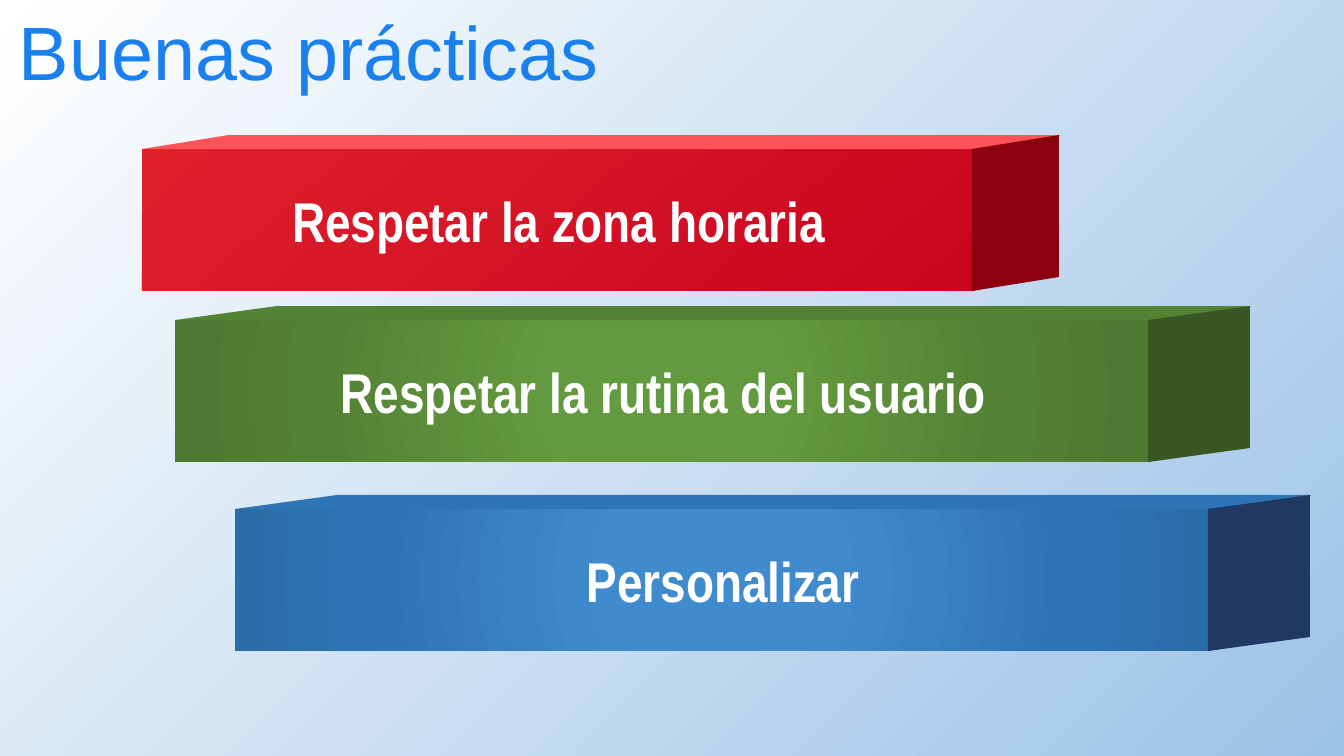
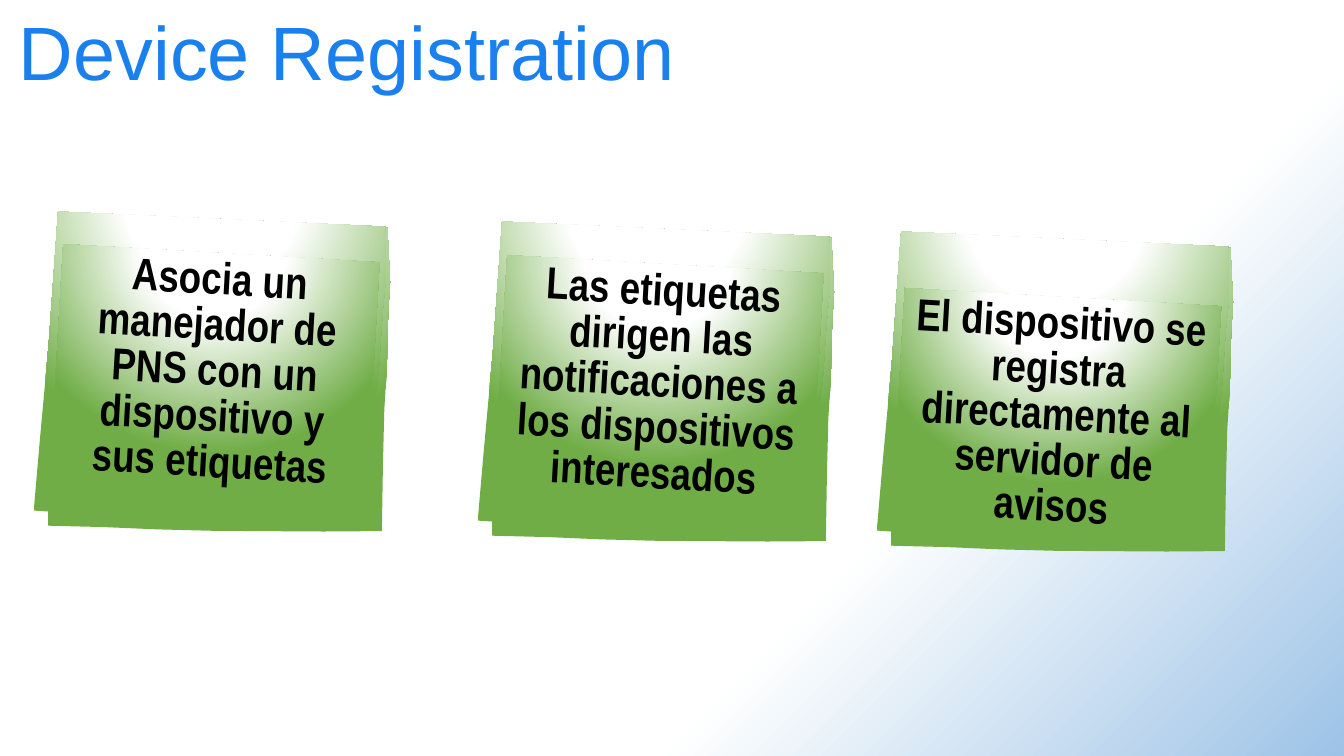
from dataclasses import dataclass

import lxml.etree
import pptx
import pptx.dml.color
import pptx.enum.shapes
import pptx.enum.text
import pptx.oxml.ns
import pptx.util

EMU_PER_PX = 914400 / 100.8
SLIDE_W, SLIDE_H = 1344, 756


@dataclass(frozen=True)
class Gradient:
    """Stops are (percent, colour); a gradient without an angle is circular around focus."""
    stops: tuple[tuple[int, str], ...]
    angle: int | None = None
    focus: tuple[int, int, int, int] = (50, 50, 50, 50)


@dataclass(frozen=True)
class Theme:
    title_font: str = "Arial"
    label_font: str = "Arial Narrow"
    title_size: int = 54
    bar_size: int = 40
    note_size: int = 32
    title: str = "1980EE"
    bar_text: str = "FFFFFF"
    note_text: str = "000000"
    bar_background: Gradient = Gradient(((0, "FFFFFF"), (100, "9DC3E6")), angle=45)
    note_background: Gradient = Gradient(((67, "FFFFFF"), (100, "9DC3E6")), angle=45)
    paper: Gradient = Gradient(
        ((0, "FFFFFF"), (35, "FFFFFF"), (100, "70AD47")), focus=(50, -80, 50, 180))
    red: Gradient = Gradient(((0, "DF202B"), (100, "CA051F")), angle=49)
    green: Gradient = Gradient(
        ((0, "649A3F"), (23, "649A3F"), (69, "548235"), (97, "4E7932")))
    blue: Gradient = Gradient(
        ((0, "408BCE"), (23, "408BCE"), (69, "2E75B6"), (97, "2B6DA9")))


THEME = Theme()


@dataclass(frozen=True)
class Bar:
    text: str
    left: int
    top: int
    width: int
    skew: int
    front: Gradient
    lid: str
    side: str


@dataclass(frozen=True)
class Note:
    text: str
    left: int
    top: int
    label_top: int
    label_height: int


BAR_HEIGHT = 142
LID_HEIGHT = 14
SIDE_OVERLAP = 3
BARS = (
    Bar("Respetar la zona horaria", 142, 149, 833, 87, THEME.red, "FC5258", "8C000F"),
    Bar("Respetar la rutina del usuario", 175, 320, 976, 102, THEME.green, "548235", "385723"),
    Bar("Personalizar", 235, 509, 976, 102, THEME.blue, "2E75B6", "203864"),
)

PAPER_OUTLINE = (
    (327, 0), (333, 54), (333, 85), (334, 113), (335, 141), (335, 181),
    (337, 236), (340, 303), (282, 307), (172, 313), (116, 315), (62, 316),
    (6, 318), (5, 250), (4, 148), (0, 18),
)
PAPERS = ((0, 3.5), (-8, 5.8))  # shift in px, rotation in degrees
LABEL_SHIFT, LABEL_WIDTH, LABEL_ROTATION = 5, 317, 3.3
NOTES = (
    Note("Asocia un manejador de PNS con un dispositivo y sus etiquetas", 51, 218, 253, 241),
    Note("Las etiquetas dirigen las notificaciones a los dispositivos interesados",
         495, 228, 264, 241),
    Note("El dispositivo se registra directamente al servidor de avisos", 894, 238, 297, 195),
)


def px(length: int) -> pptx.util.Emu:
    return pptx.util.Emu(round(length * EMU_PER_PX))


def rgb(colour: str) -> pptx.dml.color.RGBColor:
    return pptx.dml.color.RGBColor.from_string(colour)


def fill_gradient(owner, gradient: Gradient) -> None:
    """Fill a shape, or the background of a slide."""
    fill = owner.fill if hasattr(owner, "fill") else owner.background.fill
    fill.gradient()
    qn = pptx.oxml.ns.qn
    grad = next(owner.element.iter(qn("a:gradFill")))
    for child in list(grad):
        grad.remove(child)
    stops = lxml.etree.SubElement(grad, qn("a:gsLst"))
    for percent, colour in gradient.stops:
        stop = lxml.etree.SubElement(stops, qn("a:gs"), pos=str(percent * 1000))
        lxml.etree.SubElement(stop, qn("a:srgbClr"), val=colour)
    if gradient.angle is not None:
        lxml.etree.SubElement(grad, qn("a:lin"), ang=str(gradient.angle * 60000), scaled="0")
        return
    circle = lxml.etree.SubElement(grad, qn("a:path"), path="circle")
    edges = {edge: str(share * 1000) for edge, share in zip("ltrb", gradient.focus)}
    lxml.etree.SubElement(circle, qn("a:fillToRect"), **edges)


def paint(sp, fill: Gradient | str) -> None:
    """Apply a gradient or plain fill, without line or shadow."""
    sp.shadow.inherit = False
    sp.line.fill.background()
    if isinstance(fill, Gradient):
        fill_gradient(sp, fill)
    else:
        sp.fill.solid()
        sp.fill.fore_color.rgb = rgb(fill)


def add_polygon(slide, points, fill: Gradient | str):
    builder = slide.shapes.build_freeform(*points[0], scale=EMU_PER_PX)
    builder.add_line_segments(points[1:], close=True)
    sp = builder.convert_to_shape()
    paint(sp, fill)
    return sp


def add_rect(slide, left: int, top: int, width: int, height: int, fill: Gradient):
    sp = slide.shapes.add_shape(
        pptx.enum.shapes.MSO_SHAPE.RECTANGLE, px(left), px(top), px(width), px(height))
    paint(sp, fill)
    return sp


def write(sp, text: str, font: str, size: int, colour: str, bold: bool = False):
    tf = sp.text_frame
    tf.word_wrap = True
    p = tf.paragraphs[0]
    r = p.add_run()
    r.text = text
    r.font.name = font
    r.font.size = pptx.util.Pt(size)
    r.font.bold = bold
    r.font.color.rgb = rgb(colour)
    return tf, p


def add_slide(prs, title: str, background: Gradient):
    slide = prs.slides.add_slide(prs.slide_layouts[6])
    fill_gradient(slide, background)
    box = slide.shapes.add_textbox(px(9), px(0), px(1126), px(102))
    tf, _ = write(box, title, THEME.title_font, THEME.title_size, THEME.title)
    tf.auto_size = pptx.enum.text.MSO_AUTO_SIZE.SHAPE_TO_FIT_TEXT
    return slide


def add_bar(slide, bar: Bar) -> None:
    right, bottom = bar.left + bar.width, bar.top + BAR_HEIGHT
    back_top = bar.top - LID_HEIGHT
    front = add_rect(slide, bar.left, bar.top, bar.width, BAR_HEIGHT, bar.front)
    tf, p = write(front, bar.text, THEME.label_font, THEME.bar_size, THEME.bar_text, True)
    tf.vertical_anchor = pptx.enum.text.MSO_ANCHOR.MIDDLE
    p.alignment = pptx.enum.text.PP_ALIGN.CENTER
    add_polygon(slide, ((right, bar.top), (bar.left, bar.top),
                        (bar.left + bar.skew, back_top), (right + bar.skew, back_top)), bar.lid)
    near = right - SIDE_OVERLAP
    far = near + bar.skew
    add_polygon(slide, ((far, bottom - LID_HEIGHT), (near, bottom),
                        (near, bar.top), (far, back_top)), bar.side)


def add_note(slide, note: Note) -> None:
    for shift, rotation in PAPERS:
        outline = [(note.left + shift + x, note.top + shift + y) for x, y in PAPER_OUTLINE]
        add_polygon(slide, outline, THEME.paper).rotation = rotation
    label = add_rect(slide, note.left + LABEL_SHIFT, note.label_top,
                     LABEL_WIDTH, note.label_height, THEME.paper)
    label.rotation = LABEL_ROTATION
    tf, p = write(label, note.text, THEME.label_font, THEME.note_size, THEME.note_text, True)
    tf.vertical_anchor = pptx.enum.text.MSO_ANCHOR.TOP
    tf.auto_size = pptx.enum.text.MSO_AUTO_SIZE.SHAPE_TO_FIT_TEXT
    p.alignment = pptx.enum.text.PP_ALIGN.CENTER
    p.line_spacing = 0.85


def main() -> None:
    prs = pptx.Presentation()
    prs.slide_width, prs.slide_height = px(SLIDE_W), px(SLIDE_H)
    practices = add_slide(prs, "Buenas prácticas", THEME.bar_background)
    for bar in BARS:
        add_bar(practices, bar)
    registration = add_slide(prs, "Device Registration", THEME.note_background)
    for note in NOTES:
        add_note(registration, note)
    prs.save("out.pptx")


if __name__ == "__main__":
    main()
